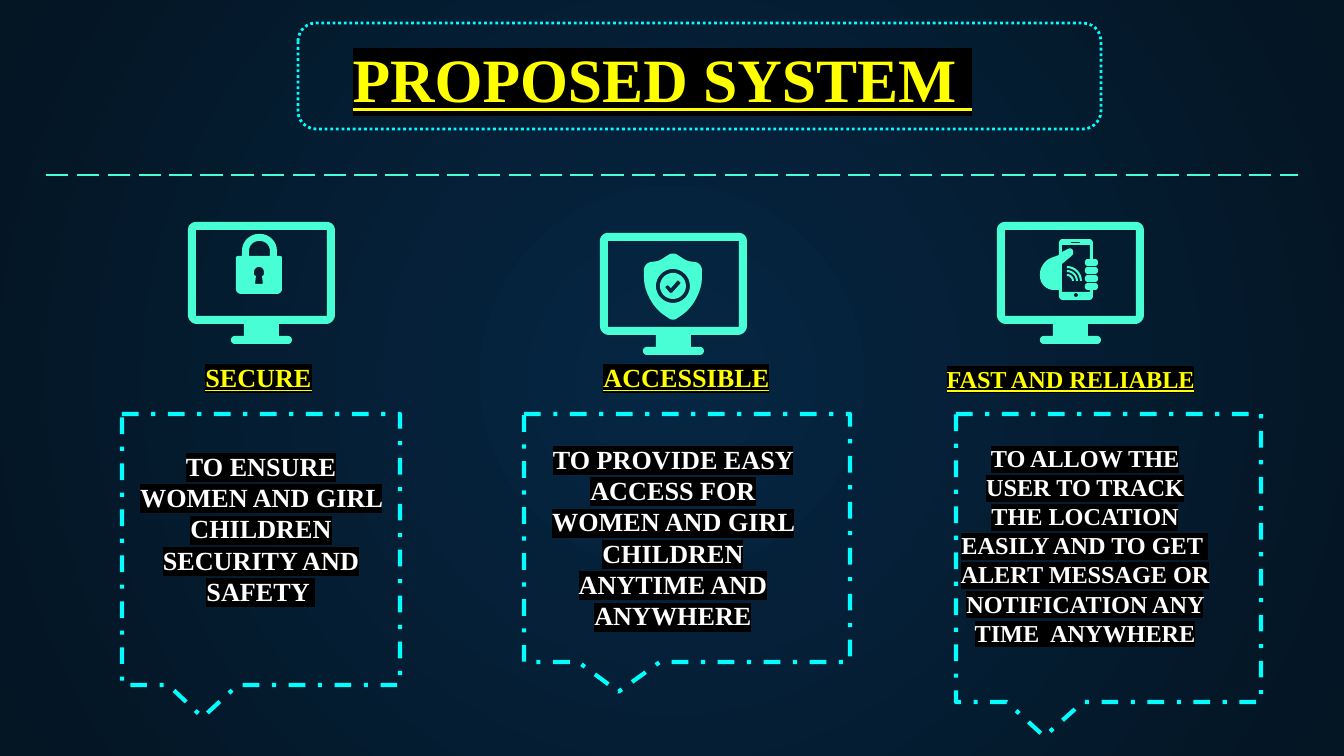
import pptx
import pptx.util
import pptx.dml.color
import pptx.enum.dml
import pptx.enum.shapes
import pptx.enum.text
import pptx.oxml
import pptx.oxml.ns

PX = 914400 / 134.4  # EMU in one px
MINT, CYAN, YELLOW, WHITE, BLACK = "48FFD5", "00FFFF", "FFFF00", "FFFFFF", "000000"
NS = pptx.oxml.ns.nsdecls("a")
color = pptx.dml.color.RGBColor.from_string
DASH = pptx.enum.dml.MSO_LINE
SHAPE = pptx.enum.shapes.MSO_SHAPE
ANCHOR = pptx.enum.text.MSO_ANCHOR

deck = pptx.Presentation()
deck.slide_width, deck.slide_height = round(1344 * PX), round(756 * PX)
slide = deck.slides.add_slide(deck.slide_layouts[6])


def box(left, top, width, height, radius):
    """Corners (x, y, radius) of a rounded box."""
    right, bottom = left + width, top + height
    return [(x, y, radius) for x, y in
            ((left, top), (right, top), (right, bottom), (left, bottom))]


def draw_icon(contours, dx=0, dy=0):
    """Fill contours of (x, y, radius) corners; inner contours become holes."""
    pen = None
    for corners in contours:
        points = []
        for i, (x, y, radius) in enumerate(corners):
            ends = []
            for nx, ny, _ in (corners[i - 1], corners[(i + 1) % len(corners)]):
                reach = radius / max(((nx - x) ** 2 + (ny - y) ** 2) ** 0.5, 1)
                ends.append(((nx - x) * reach, (ny - y) * reach))
            (ax, ay), (bx, by) = ends
            for step in range(9 if radius else 1):
                t = step / 8
                # Cubic arc whose handles lie 0.55 of the way to the corner
                a = (1 - t) ** 3 + 1.35 * t * (1 - t) ** 2
                b = t ** 3 + 1.35 * t ** 2 * (1 - t)
                points.append(((x + dx + ax * a + bx * b) * PX,
                               (y + dy + ay * a + by * b) * PX))
        if pen is None:
            pen = slide.shapes.build_freeform(*points[0], scale=1.0)
        else:
            pen.move_to(*points[0])
        pen.add_line_segments(points[1:], close=True)
    icon = pen.convert_to_shape()
    icon.shadow.inherit = False
    icon.fill.solid()
    icon.fill.fore_color.rgb = color(MINT)
    icon.line.fill.background()


# Background: radial gradient from the centre
backdrop = slide.background.fill
backdrop.gradient()
for stop, shade in zip(backdrop.gradient_stops, ("052643", "041523")):
    stop.color.rgb = color(shade)
gradient = slide.element.find(".//" + pptx.oxml.ns.qn("a:gradFill"))
gradient.replace(gradient.find(pptx.oxml.ns.qn("a:lin")), pptx.oxml.parse_xml(
    f'<a:path {NS} path="circle"><a:fillToRect l="50000" t="50000" r="50000" b="50000"/></a:path>'))

# Title, feature names and descriptions
texts = [
    ("PROPOSED SYSTEM ", 36, 39, 1253, 89, 33, True),
    ("TO ENSURE WOMEN AND GIRL CHILDREN SECURITY AND SAFETY ", 122, 437, 278, 74, 14, False),
    ("TO PROVIDE EASY ACCESS FOR WOMEN AND GIRL CHILDREN ANYTIME AND ANYWHERE",
     534, 430, 278, 74, 14, False),
    ("TO ALLOW THE USER TO TRACK THE LOCATION EASILY AND TO GET  ALERT MESSAGE OR "
     "NOTIFICATION ANY TIME  ANYWHERE", 946, 430, 278, 74, 13, False),
    ("SECURE", 106, 378, 305, 28, 14, True),
    ("ACCESSIBLE", 534, 378, 305, 28, 14, True),
    ("FAST AND RELIABLE", 918, 378, 305, 28, 13, True),
]
for wording, left, top, width, height, size, heading in texts:
    frame = slide.shapes.add_textbox(
        *(round(v * PX) for v in (left, top, width, height))).text_frame
    frame.word_wrap = True
    frame.vertical_anchor = ANCHOR.BOTTOM if heading else ANCHOR.TOP
    frame.margin_left = frame.margin_right = round(13 * PX)
    frame.margin_top = frame.margin_bottom = round(13 * PX)
    paragraph = frame.paragraphs[0]
    paragraph.alignment = pptx.enum.text.PP_ALIGN.CENTER
    run = paragraph.add_run()
    run.text = wording
    run.font.name = "Times New Roman"
    run.font.size = pptx.util.Pt(size)
    run.font.bold = True
    if heading:
        run.font.underline = True
    run.font.color.rgb = color(YELLOW if heading else WHITE)
    run.font.fill._xPr.find(pptx.oxml.ns.qn("a:solidFill")).addnext(pptx.oxml.parse_xml(
        f'<a:highlight {NS}><a:srgbClr val="{BLACK}"/></a:highlight>'))

# Monitors
monitor = [
    [(0, 0, 8), (147, 0, 8), (147, 102, 9), (91, 102, 0), (91, 114, 0), (104, 114, 4),
     (104, 122, 4), (43, 122, 4), (43, 114, 4), (56, 114, 0), (56, 102, 0), (0, 102, 9)],
    box(8, 8, 131, 86, 0),
]
for left, top in ((188, 222), (600, 233), (997, 222)):
    draw_icon(monitor, left, top)

# Padlock: body with shackle, shackle opening, keyhole
draw_icon([
    [(236, 256, 2), (242, 256, 0), (242, 234, 17), (277, 234, 17), (277, 256, 0),
     (282, 256, 2), (282, 294, 5), (236, 294, 5)],
    [(249, 256, 0), (249, 241, 10), (270, 241, 10), (270, 256, 0)],
    [(254, 267, 5), (264, 267, 5), (264, 276, 2), (262, 276, 0), (263, 284, 1),
     (255, 284, 1), (256, 276, 0), (254, 276, 2)],
])

# Shield: outline, ring, disc, tick
draw_icon([
    [(673, 252, 5), (687, 261, 3), (702, 263, 7), (702, 302, 24), (673, 321, 4),
     (644, 302, 24), (644, 263, 7), (659, 261, 3)],
    box(656, 269, 34, 34, 17),
    box(660, 273, 26, 26, 13),
    [(665, 287, 1), (668, 285, 1), (671, 288, 0), (678, 280, 1), (681, 283, 1),
     (672, 293, 1), (670, 293, 1)],
])

# Hand with phone: body and thumb, speaker, button, signal waves, fingers
waves = [
    [(1067, 281 - outer, 0), (1067 + outer, 281 - outer, outer), (1067 + outer, 281, 0),
     (1067 + inner, 281, 0), (1067 + inner, 281 - inner, inner), (1067, 281 - inner, 0)]
    for outer, inner in ((15, 13), (11, 9), (7, 5))
]
draw_icon([
    [(1059, 239, 4), (1093, 239, 4), (1093, 259, 0), (1090, 259, 0), (1090, 245, 0),
     (1062, 245, 0), (1062, 252, 0), (1072, 247, 4), (1074, 254, 3), (1062, 264, 0),
     (1062, 292, 0), (1090, 292, 0), (1090, 290, 0), (1093, 290, 0), (1093, 300, 4),
     (1059, 300, 4), (1059, 290, 0), (1040, 290, 14), (1040, 262, 12), (1059, 255, 0)],
    box(1071, 242, 9, 1, 0),
    box(1074, 293, 4, 4, 2),
    *waves,
    *(box(1085, 259 + 8 * finger, 13, 7, 3) for finger in range(4)),
])

# Divider
divider = slide.shapes.add_connector(
    pptx.enum.shapes.MSO_CONNECTOR.STRAIGHT,
    *(round(v * PX) for v in (46, 175, 1298, 175)))
divider.line.color.rgb = color(MINT)
divider.line.width = pptx.util.Pt(1.5)
divider.line.dash_style = DASH.LONG_DASH
divider._element.spPr.append(pptx.oxml.parse_xml(f"<a:effectLst {NS}/>"))

# Title frame and description callouts
callout = (SHAPE.RECTANGULAR_CALLOUT, (-0.21, 0.62), 2.25, DASH.DASH_DOT)
outlines = [
    ((298, 23, 803, 106), SHAPE.ROUNDED_RECTANGLE, (0.17,), 1.5, DASH.ROUND_DOT),
    ((122, 414, 278, 271), *callout),
    ((524, 414, 326, 248), *callout),
    ((956, 414, 305, 288), *callout),
]
for place, kind, adjustments, weight, dash in outlines:
    outline = slide.shapes.add_shape(kind, *(round(v * PX) for v in place))
    for i, value in enumerate(adjustments):
        outline.adjustments[i] = value
    outline.shadow.inherit = False
    outline.fill.background()
    outline.line.color.rgb = color(CYAN)
    outline.line.width = pptx.util.Pt(weight)
    outline.line.dash_style = dash

deck.save("out.pptx")
